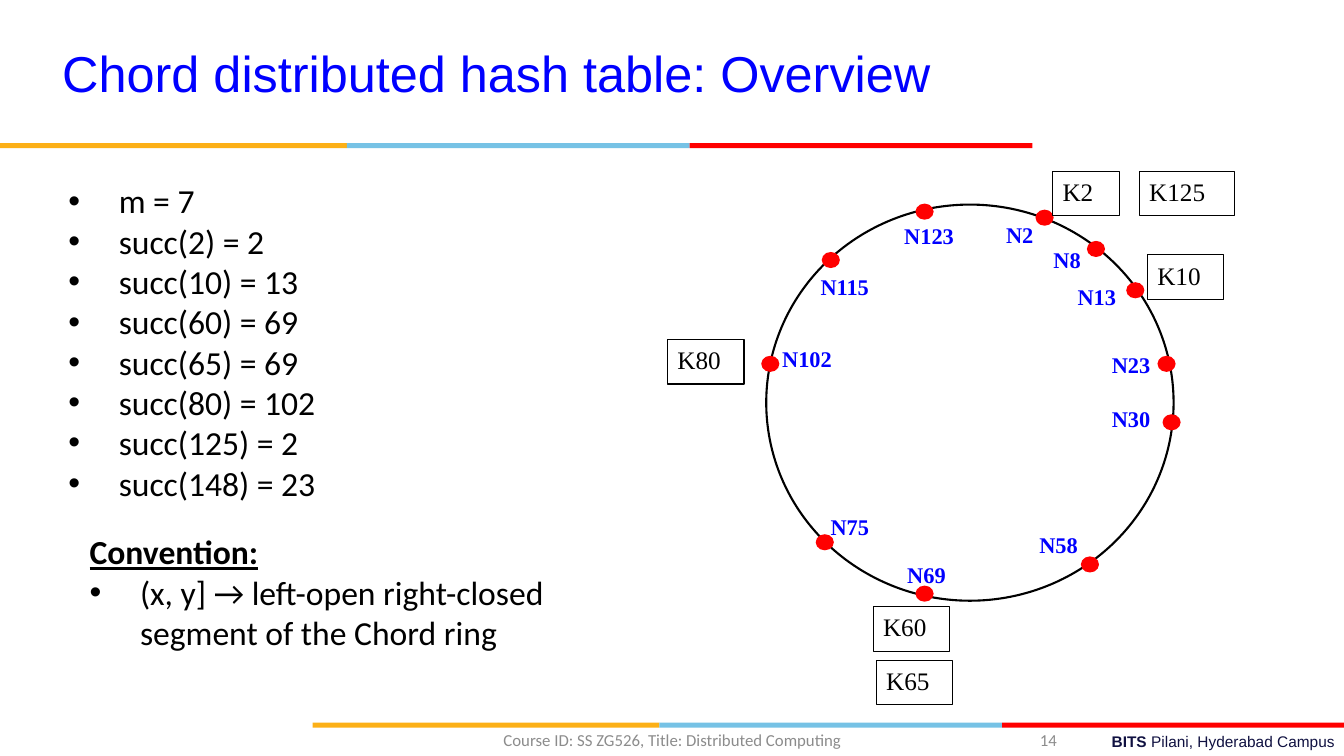
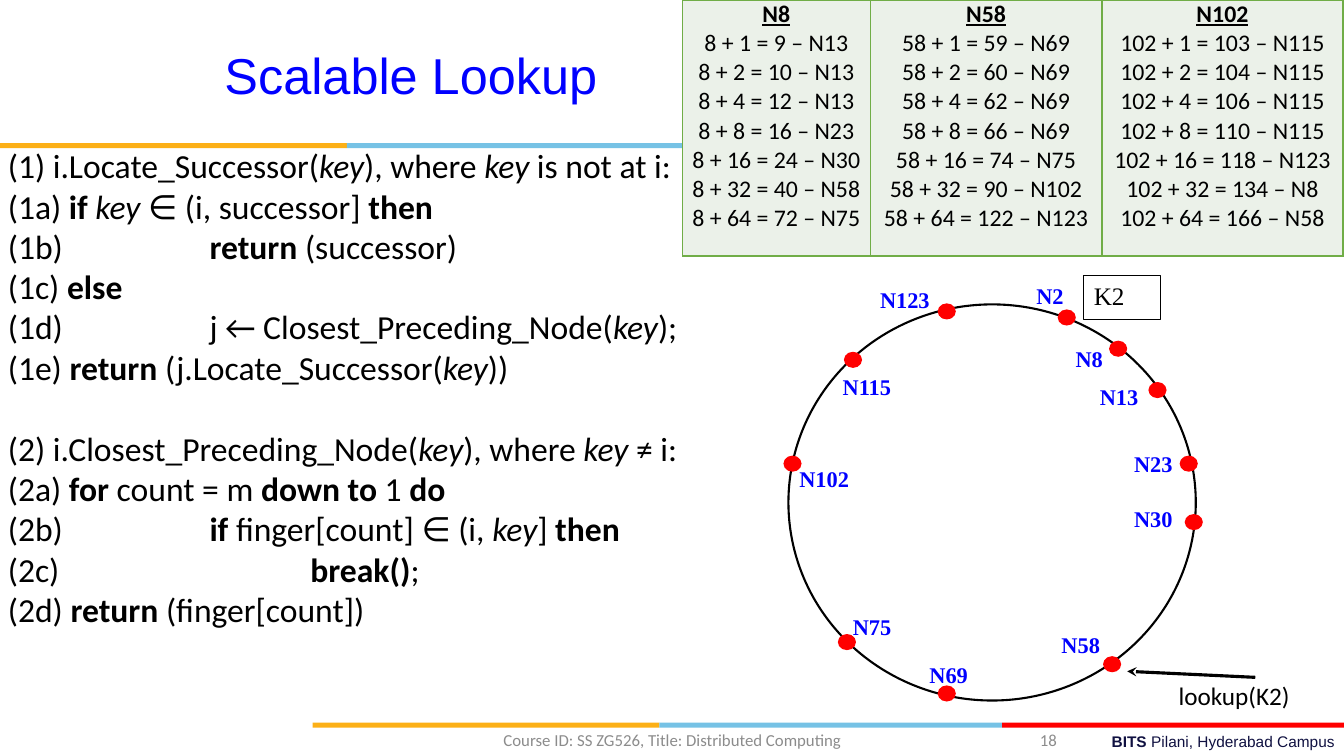
from dataclasses import dataclass

from lxml.etree import SubElement
from pptx import Presentation
from pptx.dml.color import RGBColor
from pptx.enum.shapes import MSO_CONNECTOR as Connector, MSO_SHAPE as Shape
from pptx.enum.text import MSO_ANCHOR as Anchor, MSO_AUTO_SIZE as AutoSize, PP_ALIGN as Align
from pptx.oxml.ns import qn
from pptx.util import Pt

EMU_PER_PX = 9144
COLORS = {
    "amber": "FCB017", "sky": "76C2E5", "red": "FF0000", "blue": "0000FF",
    "navy": "101141", "gray": "8C8C8C", "black": "000000", "white": "FFFFFF",
    "cell": "EBF1E9", "border": "70AD47",
}


@dataclass
class Style:
    font: str
    size: int
    color: str
    bold: bool = False


TITLE = Style("Arial", 36, "blue")
CAMPUS = Style("Arial", 11, "navy")
FOOTER = Style("Calibri", 12, "gray")
BODY = Style("Calibri", 24, "black")
FINGER = Style("Calibri", 17, "black")
LOOKUP = Style("Calibri", 18, "black")
NODE = Style("Times New Roman", 16, "blue", bold=True)
KEY = Style("Times New Roman", 18, "black")

BANDS = [("amber", 344), ("sky", 340), ("red", 340)]
COURSE = "Course ID: SS ZG526, Title: Distributed Computing"

RING_SIZE = (404, 393)
DOT_SIZE = (18, 16)
ID_BITS = 7
# Node id: dot corner and label corner, both relative to the ring's box
NODES = {
    2: ((267, 5), (228, 11)),
    8: ((318, 36), (275, 36)),
    13: ((357, 77), (299, 73)),
    23: ((388, 150), (333, 140)),
    30: ((393, 208), (333, 194)),
    58: ((312, 349), (261, 319)),
    69: ((148, 378), (130, 349)),
    75: ((49, 327), (54, 301)),
    102: ((-5, 150), (6, 134)),
    115: ((55, 47), (44, 63)),
    123: ((148, -1), (127, 12)),
}

SUCCESSORS = [
    "m = 7", "succ(2) = 2", "succ(10) = 13", "succ(60) = 69",
    "succ(65) = 69", "succ(80) = 102", "succ(125) = 2", "succ(148) = 23",
]
CONVENTION = ["Convention:", "(x, y] → left-open right-closed segment of the Chord ring"]
LOCATE = [
    "(1) i.Locate_Successor(~key~), where ~key~ is not at i:",
    "(1a) *if* ~key~ ∈ (i, successor] *then*",
    "(1b)\t*return* (successor)",
    "(1c) *else*",
    "(1d)\tj ← Closest_Preceding_Node(~key~);",
    "(1e) *return* (j.Locate_Successor(~key~))",
]
CLOSEST = [
    "(2) i.Closest_Preceding_Node(~key~), where ~key~ ≠ i:",
    "(2a) *for* count = m *down to* 1 *do*",
    "(2b)\t*if* finger[count] ∈ (i, ~key~] *then*",
    "(2c)\t\t*break()*;",
    "(2d) *return* (finger[count])",
]


def px(length):
    return length * EMU_PER_PX


def emu(*lengths):
    return [px(length) for length in lengths]


def rgb(name):
    return RGBColor.from_string(COLORS[name])


def write(frame, lines, style, align=Align.LEFT):
    """Fill a text frame; *...* marks bold and ~...~ marks italic."""
    frame.word_wrap = True
    for index, line in enumerate(lines):
        para = frame.paragraphs[0] if index == 0 else frame.add_paragraph()
        para.alignment = align
        for bold_index, chunk in enumerate(line.split("*")):
            for italic_index, text in enumerate(chunk.split("~")):
                if not text:
                    continue
                span = para.add_run()
                span.text = text
                span.font.name = style.font
                span.font.size = Pt(style.size)
                span.font.color.rgb = rgb(style.color)
                span.font.bold = style.bold or bold_index % 2 == 1
                span.font.italic = italic_index % 2 == 1


def add_text(page, box, lines, style, align=Align.LEFT, anchor=Anchor.TOP):
    shape = page.shapes.add_textbox(*emu(*box))
    write(shape.text_frame, lines, style, align)
    shape.text_frame.vertical_anchor = anchor
    return shape


def add_figure(page, kind, box, fill=None, line_width=0):
    figure = page.shapes.add_shape(kind, *emu(*box))
    figure.shadow.inherit = False
    if fill:
        figure.fill.solid()
        figure.fill.fore_color.rgb = rgb(fill)
    else:
        figure.fill.background()
    if line_width:
        figure.line.color.rgb = rgb("black")
        figure.line.width = Pt(line_width)
    else:
        figure.line.fill.background()
    return figure


def add_bullets(paras):
    for para in paras:
        props = para._p.get_or_add_pPr()
        props.set("marL", str(px(50)))
        props.set("indent", str(px(-50)))
        SubElement(props, qn("a:buFont")).set("typeface", "Arial")
        SubElement(props, qn("a:buChar")).set("char", "•")


def add_tabs(paras, stops):
    for para in paras:
        tabs = SubElement(para._p.get_or_add_pPr(), qn("a:tabLst"))
        for stop in stops:
            tab = SubElement(tabs, qn("a:tab"))
            tab.set("pos", str(px(stop)))
            tab.set("algn", "l")


def mark_heading(para):
    for span in para.runs:
        span.font.bold = True
        span.font.underline = True


def add_band(page, left, top):
    bars = []
    for color, width in BANDS:
        bars.append(add_figure(page, Shape.RECTANGLE, (left, top, width, 5), color))
        left += width
    return bars


def furnish_layout(page):
    """Draw the bands and campus line, then hand them to the page's layout."""
    layout = page.slide_layout
    for holder in list(layout.placeholders):
        if holder.placeholder_format.idx != 0:
            layout.shapes.element.remove(holder.element)
    shared = add_band(page, 0, 142) + add_band(page, 310, 717)
    shared.append(add_text(page, (478, 721, 856, 29),
                           ["*BITS* Pilani, Hyderabad Campus"], CAMPUS, Align.RIGHT))
    for shape in shared:
        layout.shapes.element.append(shape.element)


def add_page(deck, title, title_box, number):
    page = deck.slides.add_slide(deck.slide_layouts[5])
    if len(deck.slides) == 1:
        furnish_layout(page)
    holder = page.shapes.title
    holder.left, holder.top, holder.width, holder.height = emu(*title_box)
    write(holder.text_frame, [title], TITLE, Align.CENTER)
    holder.text_frame.auto_size = AutoSize.NONE
    holder.text_frame.vertical_anchor = Anchor.MIDDLE
    add_text(page, (922, 714, 136, 40), [str(number)], FOOTER, Align.RIGHT, Anchor.MIDDLE)
    add_text(page, (442, 714, 450, 40), [COURSE], FOOTER, Align.CENTER, Anchor.MIDDLE)
    return page


def add_ring(page, left, top, keys, moved_labels=None):
    """Place the ring; keys are (text, x, y, width) relative to its box."""
    moved_labels = moved_labels or {}
    add_figure(page, Shape.OVAL, (left, top, *RING_SIZE), line_width=1.5)
    for node, (dot, label) in NODES.items():
        x, y = moved_labels.get(node, label)
        add_text(page, (left + x, top + y, 97, 40), [f"N{node}"], NODE)
        add_figure(page, Shape.OVAL, (left + dot[0], top + dot[1], *DOT_SIZE), "red")
    for text, x, y, width in keys:
        box = add_figure(page, Shape.RECTANGLE, (left + x, top + y, width, 44), "white", 0.75)
        write(box.text_frame, [text], KEY)
        box.text_frame.vertical_anchor = Anchor.TOP


def add_lookup(page, left, top):
    """Point an arrow at N58 from a label, relative to the ring's box."""
    arrow = page.shapes.add_connector(
        Connector.STRAIGHT, *emu(left + 463, top + 370, left + 336, top + 364))
    arrow.line.color.rgb = rgb("black")
    arrow.line.width = Pt(2.25)
    SubElement(arrow.line._get_or_add_ln(), qn("a:tailEnd")).set("type", "stealth")
    SubElement(arrow._element.spPr, qn("a:effectLst"))
    add_text(page, (left + 377, top + 368, 162, 40), ["lookup(K2)"], LOOKUP)


def finger_lines(node):
    lines = [f"N{node}"]
    for step in (2 ** bit for bit in range(ID_BITS)):
        target = node + step
        wrapped = target % 2 ** ID_BITS
        successor = next((other for other in NODES if other >= wrapped), min(NODES))
        lines.append(f"{node} + {step} = {target} – N{successor}")
    return lines


def border_cell(cell):
    props = cell._tc.get_or_add_tcPr()
    for index, side in enumerate(("lnL", "lnR", "lnT", "lnB")):
        line = SubElement(props, qn(f"a:{side}"))
        line.set("w", str(Pt(1)))
        fill = SubElement(line, qn("a:solidFill"))
        SubElement(fill, qn("a:srgbClr")).set("val", COLORS["border"])
        props.insert(index, line)


def add_finger_table(page, left, top, height, columns):
    """Give each (node, width) column that node's finger table."""
    total = sum(width for _, width in columns)
    table = page.shapes.add_table(1, len(columns), *emu(left, top, total, height)).table
    table.first_row = table.horz_banding = False
    for index, (node, width) in enumerate(columns):
        table.columns[index].width = px(width)
        cell = table.cell(0, index)
        cell.margin_left = cell.margin_right = px(7)
        cell.margin_top = cell.margin_bottom = 0
        cell.fill.solid()
        cell.fill.fore_color.rgb = rgb("cell")
        border_cell(cell)
        write(cell.text_frame, finger_lines(node), FINGER, Align.CENTER)
        mark_heading(cell.text_frame.paragraphs[0])


def build_overview(deck):
    page = add_page(deck, "Chord distributed hash table: Overview", (-22, 9, 1029, 125), 14)
    successors = add_text(page, (58, 174, 667, 340), SUCCESSORS, BODY)
    add_bullets(successors.text_frame.paragraphs)
    convention = add_text(page, (79, 522, 509, 131), CONVENTION, BODY)
    heading, *rules = convention.text_frame.paragraphs
    mark_heading(heading)
    add_bullets(rules)
    add_ring(page, 760, 203, [
        ("K2", 284, -33, 66), ("K125", 370, -33, 94), ("K10", 378, 50, 76),
        ("K60", 106, 399, 76), ("K65", 109, 452, 76), ("K80", -98, 134, 76),
    ])


def build_lookup(deck):
    page = add_page(deck, "Scalable Lookup", (74, 11, 667, 125), 18)
    code = add_text(page, (-2, 139, 704, 495), LOCATE + CLOSEST, BODY)
    paras = code.text_frame.paragraphs
    add_tabs(paras, (200, 300))
    paras[len(LOCATE)].space_before = Pt(29)
    add_finger_table(page, 677, 0, 254, [(8, 186), (58, 230), (102, 239)])
    ring = (782, 302)
    add_ring(page, *ring, [("K2", 293, -29, 76)],
             {2: (236, -27), 102: (1, 155), 123: (81, -23)})
    add_lookup(page, *ring)


def main():
    deck = Presentation()
    deck.slide_width, deck.slide_height = emu(1333, 750)
    build_overview(deck)
    build_lookup(deck)
    deck.save("out.pptx")


if __name__ == "__main__":
    main()
